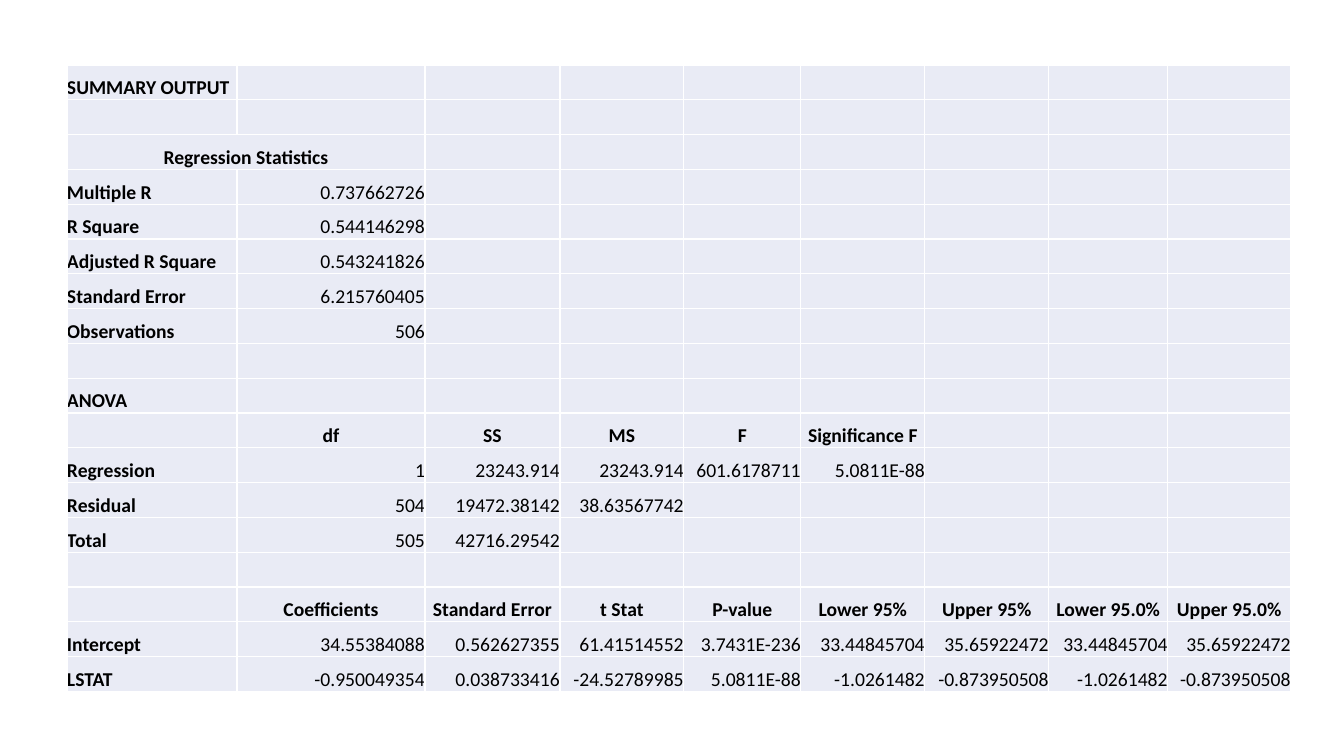
from lxml import etree
from pptx import Presentation
from pptx import util as u
from pptx.dml.color import RGBColor
from pptx.enum import text
from pptx.oxml import ns

SCALE = 914400 / 100.8  # EMU per pixel
INK = RGBColor(0, 0, 0)
PALE = RGBColor(0xE9, 0xEB, 0xF5)
WHITE = RGBColor(0xFF, 0xFF, 0xFF)
LEFT, MID, RIGHT = text.PP_ALIGN.LEFT, text.PP_ALIGN.CENTER, text.PP_ALIGN.RIGHT


def px(n):
    return u.Emu(round(n * SCALE))


class Deck:
    """Style and current slide."""
    font, size, rule = "Calibri", u.Pt(14), u.Pt(1)

    def __init__(self, slide):
        self.slide = slide

    def border(self, cell):
        props = cell._tc.get_or_add_tcPr()
        for side in ("lnL", "lnR", "lnT", "lnB"):
            line = etree.SubElement(props, ns.qn("a:" + side), w=str(self.rule))
            fill = etree.SubElement(line, ns.qn("a:solidFill"))
            etree.SubElement(fill, ns.qn("a:srgbClr"), val=str(WHITE))

    def cell(self, cell, words, align, bold):
        self.border(cell)
        cell.fill.solid()
        cell.fill.fore_color.rgb = PALE
        cell.margin_left = cell.margin_right = 0
        cell.margin_top = cell.margin_bottom = 0
        if not words:
            return
        cell.vertical_anchor = text.MSO_ANCHOR.BOTTOM
        cell.text_frame.text = words
        para = cell.text_frame.paragraphs[0]
        para.alignment = align
        font = para.runs[0].font
        font.name, font.size, font.bold = self.font, self.size, bold
        font.color.rgb = INK

    def table(self, x, y, widths, height, rows, heads):
        count = len(rows)
        frame = self.slide.shapes.add_table(
            count, len(widths), px(x), px(y), px(sum(widths)), px(height))
        grid = frame.table
        grid.first_row = grid.horz_banding = False
        for col, width in zip(grid.columns, widths):
            col.width = px(width)
        for r, row in enumerate(rows):
            grid.rows[r].height = px(height / count)
            for c in range(len(widths)):
                words = row[c] if c < len(row) else ""
                head = r in heads
                align = MID if head else RIGHT if c else LEFT
                self.cell(grid.cell(r, c), words, align, head or c == 0)
        return grid


# Regression output, row by row
ROWS = [
    ["SUMMARY OUTPUT"],
    [],
    ["Regression Statistics"],
    ["Multiple R", "0.737662726"],
    ["R Square", "0.544146298"],
    ["Adjusted R Square", "0.543241826"],
    ["Standard Error", "6.215760405"],
    ["Observations", "506"],
    [],
    ["ANOVA"],
    ["", "df", "SS", "MS", "F", "Significance F"],
    ["Regression", "1", "23243.914", "23243.914", "601.6178711", "5.0811E-88"],
    ["Residual", "504", "19472.38142", "38.63567742"],
    ["Total", "505", "42716.29542"],
    [],
    ["", "Coefficients", "Standard Error", "t Stat", "P-value",
     "Lower 95%", "Upper 95%", "Lower 95.0%", "Upper 95.0%"],
    ["Intercept", "34.55384088", "0.562627355", "61.41514552", "3.7431E-236",
     "33.44845704", "35.65922472", "33.44845704", "35.65922472"],
    ["LSTAT", "-0.950049354", "0.038733416", "-24.52789985", "5.0811E-88",
     "-1.0261482", "-0.873950508", "-1.0261482", "-0.873950508"],
]
STATS, ANOVA, COEFS = 2, 10, 15  # heading rows
WIDTHS = [170, 188, 135, 124, 117, 124, 124, 119, 123]

# Slide
prs = Presentation()
prs.slide_width, prs.slide_height = px(1344), px(756)
deck = Deck(prs.slides.add_slide(prs.slide_layouts[6]))

# Table, with the statistics heading across two columns
grid = deck.table(67, 65, WIDTHS, 627, ROWS, {STATS, ANOVA, COEFS})
grid.cell(STATS, 0).merge(grid.cell(STATS, 1))

prs.save("out.pptx")
